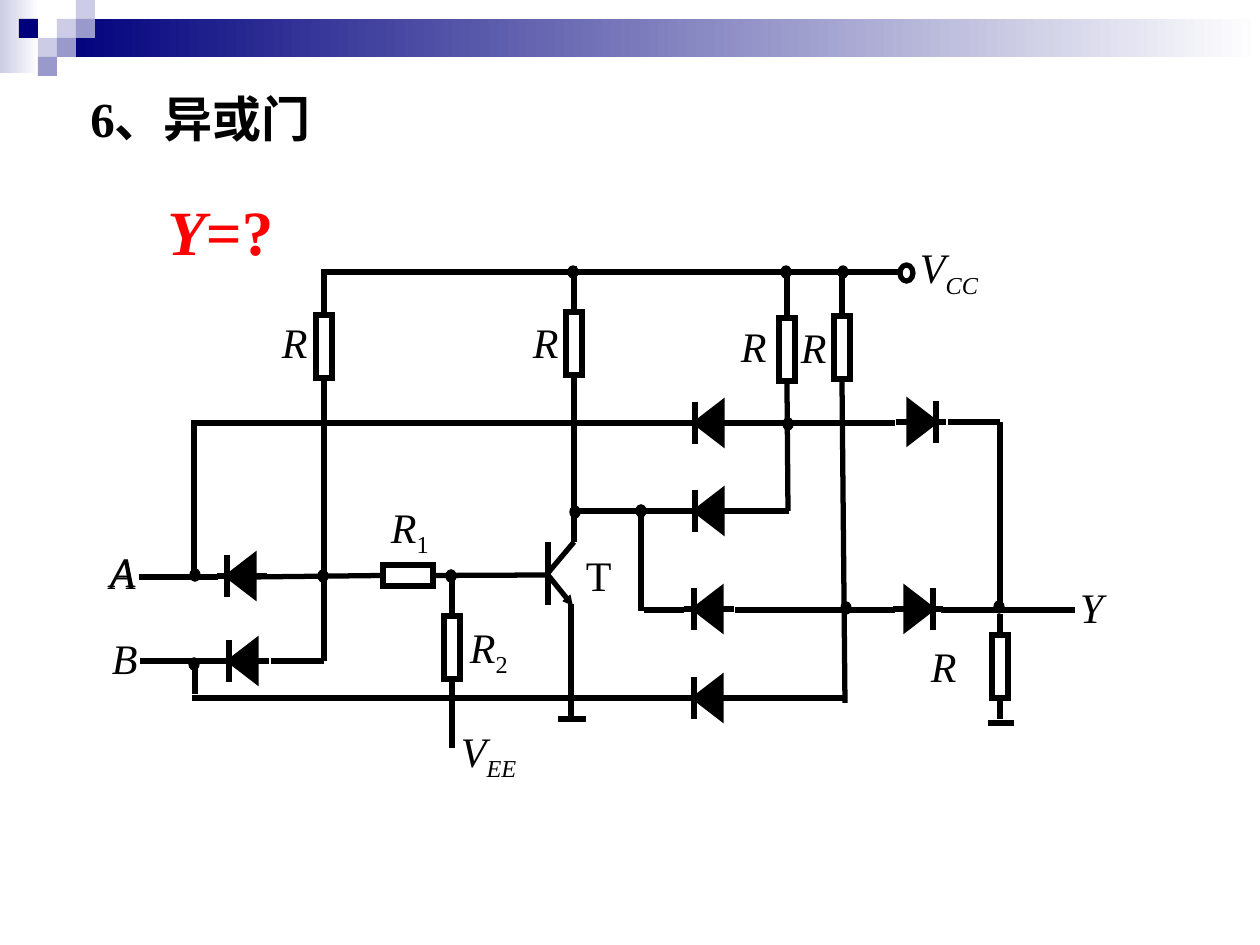
from lxml.etree import SubElement
from pptx import Presentation
from pptx.dml.color import RGBColor
from pptx.enum.shapes import MSO_CONNECTOR, MSO_SHAPE
from pptx.enum.text import MSO_AUTO_SIZE, PP_ALIGN
from pptx.oxml.ns import qn
from pptx.util import Emu, Pt

PX = 914400 / 126
FONT = "Times New Roman"
BLACK = RGBColor(0, 0, 0)
WHITE = RGBColor(255, 255, 255)
RED = RGBColor(255, 0, 0)
NAVY = RGBColor(0x00, 0x00, 0x7D)
LAVENDER = RGBColor(0xCC, 0xCC, 0xE6)
VIOLET = RGBColor(0x99, 0x99, 0xCC)

# Header: gradient bars (box, first colour) and squares (column, row, colour)
BARS = [((0, 0, 39, 73), LAVENDER), ((57, 19, 1203, 38), NAVY)]
SQUARE = 19
SQUARES = [(3, 1, LAVENDER), (4, 0, LAVENDER), (4, 1, VIOLET), (2, 2, LAVENDER),
           (1, 1, NAVY), (3, 2, VIOLET), (2, 3, VIOLET)]

# Resistors: name -> left, top, width, height
RESISTORS = {
    "input": (316, 315, 16, 63), "collector": (566, 312, 16, 63),
    "upper": (779, 318, 16, 63), "lower": (834, 316, 16, 63),
    "output": (992, 635, 16, 63), "R1": (383, 565, 50, 21), "R2": (444, 616, 16, 63),
}
TOP, LEFT, BOTTOM, RIGHT = range(4)

# Wires: each end is a point (x, y) or a resistor side (name, side)
WIRES = [
    # Supply rail and its branches
    ((324, 272), (900, 272)),
    ((324, 269), ("input", TOP)), (("input", BOTTOM), (324, 661)),
    ((574, 266), ("collector", TOP)), (("collector", BOTTOM), (574, 542)),
    ((787, 275), ("upper", TOP)), (("upper", BOTTOM), (788, 511)),
    ((842, 272), ("lower", TOP)), (("lower", BOTTOM), (845, 703)),
    # Inputs A and B
    ((139, 577), (218, 577)), ((252, 577), ("R1", LEFT)),
    ((140, 661), (219, 661)), ((271, 661), (324, 661)),
    ((194, 420), (194, 576)), ((195, 661), (195, 694)),
    # Diode rows
    ((194, 423), (686, 423)), ((735, 423), (895, 423)),
    ((574, 511), (686, 511)), ((735, 511), (789, 511)),
    ((641, 508), (641, 611)), ((644, 610), (684, 610)), ((735, 610), (895, 610)),
    ((192, 698), (684, 698)), ((733, 698), (844, 698)),
    # Transistor, its base bias and ground
    (("R1", RIGHT), (548, 575)), ((452, 575), ("R2", TOP)), (("R2", BOTTOM), (452, 748)),
    ((548, 542), (548, 605)), ((548, 573), (574, 542)),
    ((571, 604), (571, 719)), ((558, 719), (586, 719)),
    # Output and its ground
    ((948, 422), (1000, 422)), ((1000, 422), (1000, 602)), ((941, 610), (1075, 610)),
    ((1000, 614), ("output", TOP)), (("output", BOTTOM), (1000, 719)),
    ((988, 723), (1014, 723)),
]
EMITTER = ((548, 575), (573, 606))

# Diodes: centre x, centre y, direction (-1 points left, 1 points right)
DIODES = [(241, 576, -1), (243, 661, -1), (709, 423, -1), (709, 511, -1),
          (708, 609, -1), (708, 698, -1), (922, 422, 1), (919, 609, 1)]
DOTS = [(323, 576), (451, 576), (575, 512), (573, 272), (788, 424), (846, 608),
        (641, 511), (786, 272), (843, 272), (999, 607), (194, 664), (195, 575)]
TERMINAL = (900, 265, 13, 16)

# Labels: left, top, width, letter, subscript
LABELS = [
    (282, 316, 53, "R", ""), (533, 316, 53, "R", ""), (741, 320, 53, "R", ""),
    (801, 321, 53, "R", ""), (931, 640, 53, "R", ""), (391, 501, 53, "R", "1"),
    (470, 621, 53, "R", "2"), (586, 549, 26, "T", ""), (920, 242, 101, "V", "CC"),
    (461, 725, 130, "V", "EE"), (1080, 581, 50, "Y", ""), (112, 633, 26, "B", ""),
    (110, 545, 26, "A", ""), (110, 547, 26, "A", ""),
]
LABEL_HEIGHT = 58
UPRIGHT = ("T", "1", "2")

presentation = Presentation()
presentation.slide_width = Emu(round(1260 * PX))
presentation.slide_height = Emu(round(945 * PX))
slide = presentation.slides.add_slide(presentation.slide_layouts[6])


def emu(*lengths):
    return [Emu(round(length * PX)) for length in lengths]


def add_block(kind, box, fill, outlined=True):
    shape = slide.shapes.add_shape(kind, *emu(*box))
    shape.shadow.inherit = False
    shape.fill.solid()
    shape.fill.fore_color.rgb = fill
    if outlined:
        shape.line.color.rgb = BLACK
        shape.line.width = Pt(3)
        SubElement(shape.line._get_or_add_ln(), qn("a:miter"), lim="800000")
    else:
        shape.line.fill.background()
    return shape


def add_wire(start, end):
    points = [(0, 0) if isinstance(tip[0], str) else tip for tip in (start, end)]
    wire = slide.shapes.add_connector(MSO_CONNECTOR.STRAIGHT, *emu(*points[0], *points[1]))
    wire.line.color.rgb = BLACK
    wire.line.width = Pt(3)
    SubElement(wire._element.spPr, qn("a:effectLst"))
    for tip, connect in ((start, wire.begin_connect), (end, wire.end_connect)):
        if isinstance(tip[0], str):
            connect(resistors[tip[0]], tip[1])
    return wire


def add_diode(x, y, direction):
    triangle = add_block(MSO_SHAPE.ISOSCELES_TRIANGLE, (x - 20, y - 13, 40, 26), BLACK)
    triangle.rotation = 90 * direction % 360
    bar = x + 14 * direction
    add_wire((bar, y - 21), (bar, y + 21))
    add_wire((bar, y), (x + 24 * direction, y))
    add_wire((x - 11 * direction, y), (x - 26 * direction, y))


def add_text(box, runs, size, color=BLACK, inset=None, alignment=None):
    """Each run is (text, bold, italic, subscript)."""
    frame = slide.shapes.add_textbox(*emu(*box)).text_frame
    frame.word_wrap = True
    if inset is None:
        frame.auto_size = MSO_AUTO_SIZE.SHAPE_TO_FIT_TEXT
    else:
        frame.margin_left = frame.margin_right = inset
        frame.margin_top = frame.margin_bottom = inset
    paragraph = frame.paragraphs[0]
    paragraph.alignment = alignment
    for text, bold, italic, subscript in runs:
        run = paragraph.add_run()
        run.text = text
        run.font.name = FONT
        run.font.size = Pt(size)
        run.font.bold = bold
        run.font.italic = italic
        run.font.color.rgb = color
        if subscript:
            run._r.get_or_add_rPr().set("baseline", "-25000")


# Header decoration
for box, color in BARS:
    bar = add_block(MSO_SHAPE.RECTANGLE, box, color, outlined=False)
    bar.fill.gradient()
    bar.fill.gradient_angle = 0
    for stop, stop_color, position in zip(bar.fill.gradient_stops, (color, WHITE), (0, 1)):
        stop.color.rgb = stop_color
        stop.position = position
for column, row, color in SQUARES:
    add_block(MSO_SHAPE.RECTANGLE, (column * SQUARE, row * SQUARE, SQUARE, SQUARE),
              color, outlined=False)

# Circuit
resistors = {name: add_block(MSO_SHAPE.RECTANGLE, box, WHITE)
             for name, box in RESISTORS.items()}
for start, end in WIRES:
    add_wire(start, end)
emitter = add_wire(*EMITTER)
SubElement(emitter.line._get_or_add_ln(), qn("a:tailEnd"), type="triangle", w="sm", len="sm")
for diode in DIODES:
    add_diode(*diode)
for x, y in DOTS:
    add_block(MSO_SHAPE.OVAL, (x - 3, y - 4, 6, 8), BLACK)
add_block(MSO_SHAPE.OVAL, TERMINAL, WHITE)

# Labels
for left, top, width, letter, subscript in LABELS:
    runs = [(letter, False, letter not in UPRIGHT, False)]
    if subscript:
        runs.append((subscript, False, subscript not in UPRIGHT, True))
    add_text((left, top, width, LABEL_HEIGHT), runs, 24, inset=0, alignment=PP_ALIGN.JUSTIFY)

# Heading and question
add_text((78, 82, 509, 72), [("6、异或门", True, False, False)], 28)
add_text((155, 186, 726, 89), [("Y", True, True, False), ("=?", True, False, False)], 36, RED)

presentation.save("out.pptx")
